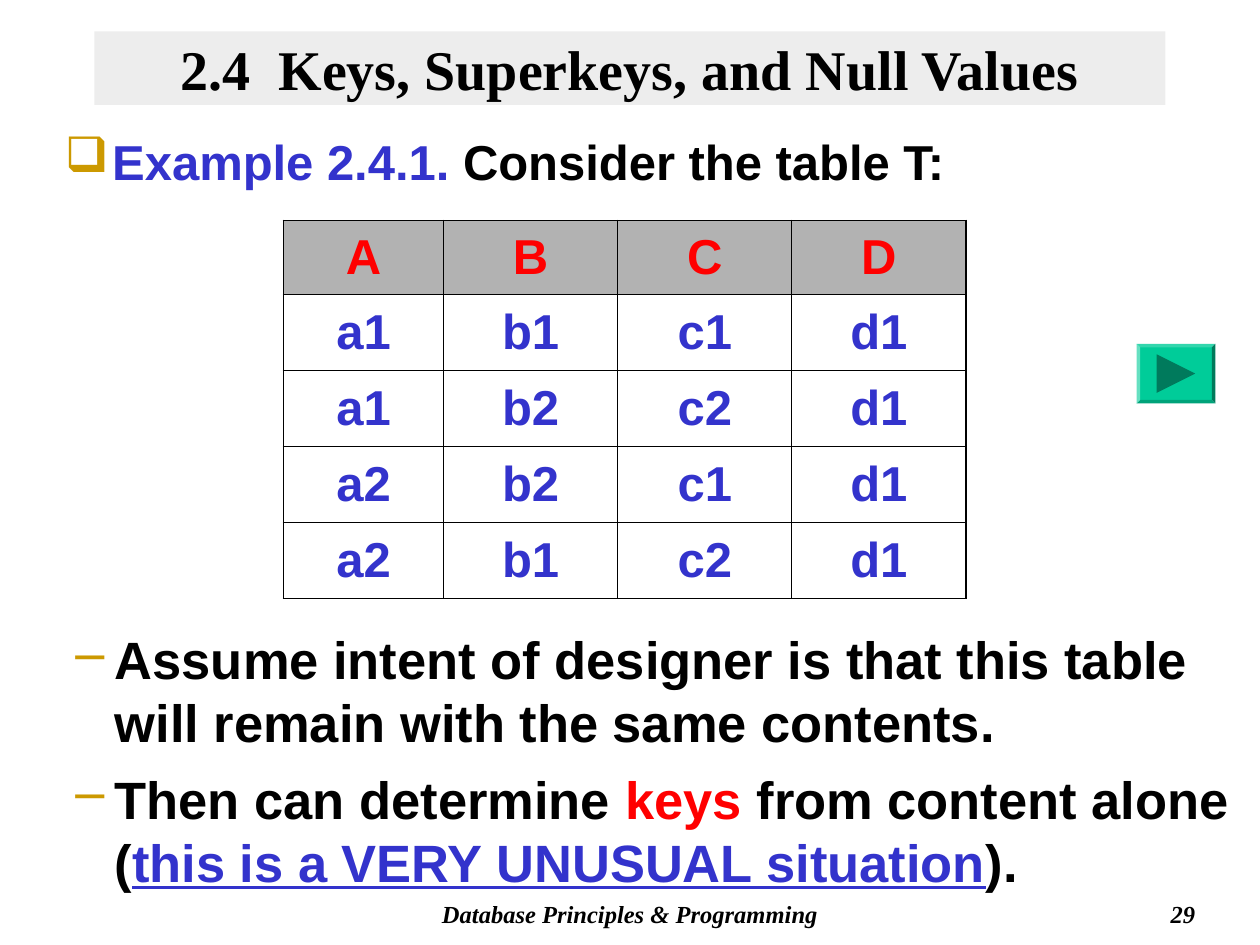
from lxml.etree import SubElement
from pptx import Presentation
from pptx.dml.color import RGBColor
from pptx.enum.shapes import MSO_SHAPE as Shape
from pptx.enum.text import MSO_ANCHOR as Anchor, PP_ALIGN as Align
from pptx.oxml.ns import qn
from pptx.util import Pt

COLORS = {"black": "000000", "blue": "3333CC", "red": "FF0000", "gold": "CC9900",
          "band": "DDDDDD", "header": "B2B2B2", "white": "FFFFFF",
          "green": "00CC99", "arrow": "007A5C"}

# Content: a paragraph is a list of (text, color, extra format)
TITLE = [("2.4  Keys, Superkeys, and Null Values", "black", {})]
EXAMPLE = [("Example 2.4.1. ", "blue", {}), ("Consider the table T:", "black", {})]
TABLE_T = [("A", "B", "C", "D"),
           ("a1", "b1", "c1", "d1"),
           ("a1", "b2", "c2", "d1"),
           ("a2", "b2", "c1", "d1"),
           ("a2", "b1", "c2", "d1")]
REMARKS = [
    [("Assume intent of designer is that this table will remain with the same contents.",
      "black", {})],
    [("Then can determine ", "black", {}), ("keys ", "red", {}),
     ("from content alone (", "black", {}),
     ("this is a VERY UNUSUAL situation", "blue", {"underline": True}),
     (").", "black", {})],
]
FOOTERS = [("Database Principles & Programming", (204, 510, 312, 24), Align.CENTER),
           ("29", (540, 510, 150, 24), Align.RIGHT)]

# Layout, in points
TITLE_BOX = (54, 18, 612, 42)
EXAMPLE_BOX = (30, 71.5, 660, 48)
REMARKS_BOX = (0, 355, 720, 158)
TABLE_BOX = (162, 126, 390, 216)
COLUMN_WIDTHS = [91.5, 99.5, 99.5, 99.5]
ROW_HEIGHTS = [42, 43.5, 43.5, 43.5, 43.5]
BUTTON_BOX = (649.5, 196.5, 45, 34)
OUTER_LINE, INNER_LINE = 1.08, 0.45

HEADING = {"name": "Times New Roman", "size": Pt(32), "bold": True}
FOOTER = {"name": "Times New Roman", "size": Pt(14), "bold": True, "italic": True}
BODY = {"name": "Arial", "size": Pt(28), "bold": True}
REMARK = {"name": "Arial", "size": Pt(30), "bold": True}


def color(name):
    return RGBColor.from_string(COLORS[name])


def points(box):
    return [Pt(value) for value in box]


def paint(shape, name):
    shape.shadow.inherit = False
    shape.fill.solid()
    shape.fill.fore_color.rgb = color(name)
    shape.line.fill.background()


def add_bullet(paragraph, char, margin, hanging):
    props = paragraph._p.get_or_add_pPr()
    props.set("marL", str(Pt(margin)))
    props.set("indent", str(-Pt(hanging)))
    bullet_color = SubElement(props, qn("a:buClr"))
    SubElement(bullet_color, qn("a:srgbClr"), val=COLORS["gold"])
    SubElement(props, qn("a:buChar"), char=char)


def write(frame, paragraphs, font, align=Align.LEFT, bullet=None, gap=0):
    frame.word_wrap = True
    for index, pieces in enumerate(paragraphs):
        paragraph = frame.add_paragraph() if index else frame.paragraphs[0]
        paragraph.alignment = align
        if index:
            paragraph.space_before = Pt(gap)
        if bullet:
            add_bullet(paragraph, *bullet)
        for text, name, extra in pieces:
            run = paragraph.add_run()
            run.text = text
            run.font.color.rgb = color(name)
            for key, value in {**font, **extra}.items():
                setattr(run.font, key, value)


def add_border(cell, side, width):
    line = SubElement(cell._tc.get_or_add_tcPr(), qn("a:ln" + side), w=str(Pt(width)))
    fill = SubElement(line, qn("a:solidFill"))
    SubElement(fill, qn("a:srgbClr"), val=COLORS["black"])


deck = Presentation()
deck.slide_width, deck.slide_height = Pt(720), Pt(540)
slide = deck.slides.add_slide(deck.slide_layouts[6])
shapes = slide.shapes

# Footer and page number
for text, box, align in FOOTERS:
    footer = shapes.add_textbox(*points(box))
    write(footer.text_frame, [[(text, "black", {})]], FOOTER, align)

# Title on a half-transparent band
title = shapes.add_shape(Shape.RECTANGLE, *points(TITLE_BOX))
paint(title, "band")
band_color = title._element.spPr.find(qn("a:solidFill"))[0]
SubElement(band_color, qn("a:alpha"), val="50000")
title.text_frame.vertical_anchor = Anchor.MIDDLE
write(title.text_frame, [TITLE], HEADING, Align.CENTER)

# Example heading
example = shapes.add_textbox(*points(EXAMPLE_BOX))
write(example.text_frame, [EXAMPLE], BODY, bullet=("❑", 27, 27))

# Table T
last_row, last_column = len(ROW_HEIGHTS) - 1, len(COLUMN_WIDTHS) - 1
table = shapes.add_table(last_row + 1, last_column + 1, *points(TABLE_BOX)).table
for column, width in zip(table.columns, COLUMN_WIDTHS):
    column.width = Pt(width)
for r, (row, height) in enumerate(zip(TABLE_T, ROW_HEIGHTS)):
    table.rows[r].height = Pt(height)
    for c, text in enumerate(row):
        cell = table.cell(r, c)
        outer = {"L": c == 0, "R": c == last_column, "T": r == 0, "B": r == last_row}
        for side, is_outer in outer.items():
            add_border(cell, side, OUTER_LINE if is_outer else INNER_LINE)
        cell.fill.solid()
        cell.fill.fore_color.rgb = color("white" if r else "header")
        cell.vertical_anchor = Anchor.MIDDLE
        write(cell.text_frame, [[(text, "blue" if r else "red", {})]], BODY, Align.CENTER)

# Remarks
remarks = shapes.add_textbox(*points(REMARKS_BOX))
write(remarks.text_frame, REMARKS, REMARK, bullet=("–", 58.5, 22.5), gap=7.5)

# Forward button: bevelled plate with an arrowhead
plate = shapes.add_shape(Shape.BEVEL, *points(BUTTON_BOX))
plate.adjustments[0] = 0.06
paint(plate, "green")
left, top, width, height = BUTTON_BOX
middle_x, middle_y, reach = left + width / 2, top + height / 2, 11
builder = shapes.build_freeform(Pt(middle_x - reach), Pt(middle_y - reach))
builder.add_line_segments([(Pt(middle_x + reach), Pt(middle_y)),
                           (Pt(middle_x - reach), Pt(middle_y + reach))])
paint(builder.convert_to_shape(), "arrow")

deck.save("out.pptx")
